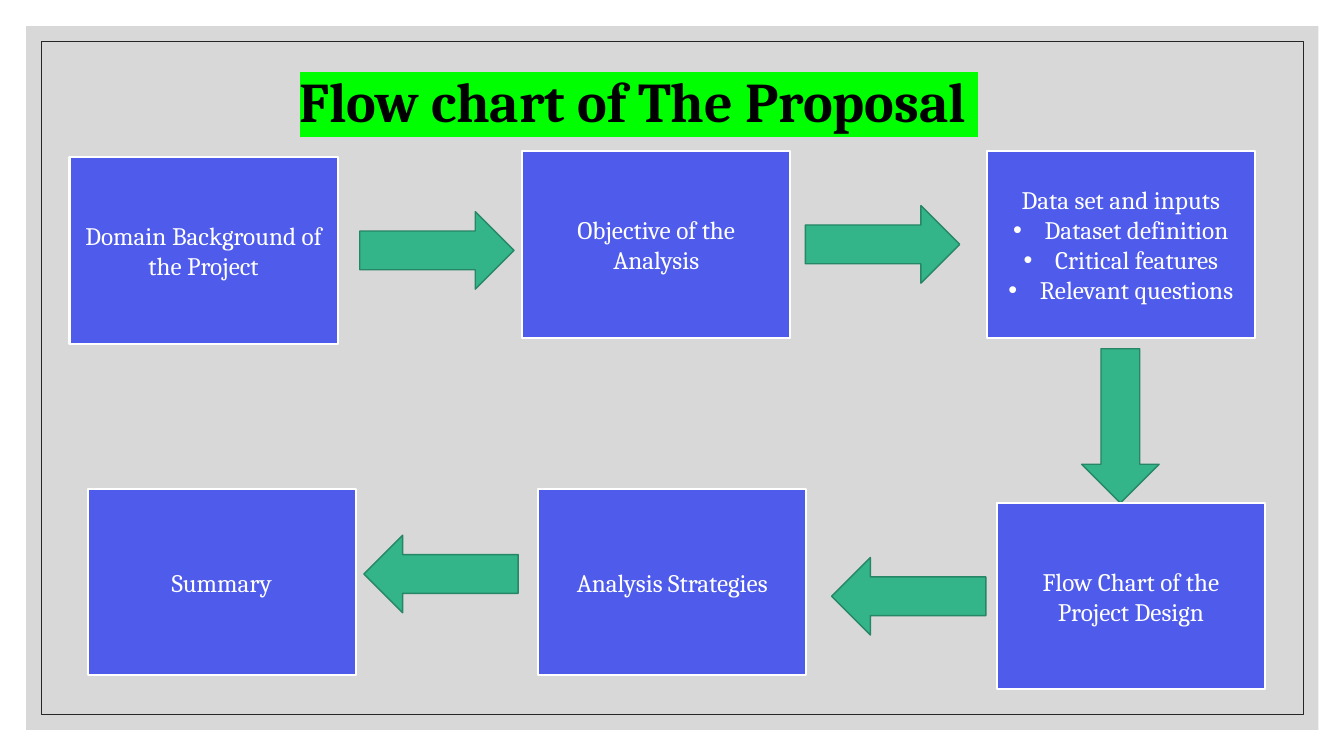
from lxml.etree import SubElement
from pptx import Presentation
from pptx.dml.color import RGBColor
from pptx.enum.shapes import MSO_SHAPE
from pptx.enum.text import MSO_ANCHOR, MSO_AUTO_SIZE, PP_ALIGN
from pptx.oxml import parse_xml
from pptx.oxml.ns import nsdecls, qn
from pptx.util import Pt

COLORS = {
    "panel": "BFBFBF",
    "frame": "262626",
    "title": "000000",
    "highlight": "00FF00",
    "box": "4E5BEB",
    "white": "FFFFFF",
    "arrow": "33B589",
    "arrow_line": "268665",
}
FONT = "Cambria"
BOX_SIZE = (191.5, 133.2)
ARROW_LENGTH, ARROW_WIDTH = 110.2, 55.4

STEPS = [
    (49.7, 112.3, ["Domain Background of the Project"]),
    (373, 108, ["Objective of the Analysis"]),
    (704.9, 108, ["Data set and inputs", "Dataset definition",
                  "Critical features", "Relevant questions"]),
    (712.1, 359.3, ["Flow Chart of the Project Design"]),
    (384.5, 349.2, ["Analysis Strategies"]),
    (62.6, 349.2, ["Summary"]),
]
ARROWS = [
    (MSO_SHAPE.RIGHT_ARROW, 257, 151.2),
    (MSO_SHAPE.RIGHT_ARROW, 575.3, 146.9),
    (MSO_SHAPE.DOWN_ARROW, 772.6, 249.1),
    (MSO_SHAPE.LEFT_ARROW, 594, 398.2),
    (MSO_SHAPE.LEFT_ARROW, 259.9, 382.3),
]


def color(name):
    return RGBColor.from_string(COLORS[name])


def add_shape(slide, kind, box, fill=None, line=None, line_width=1):
    shape = slide.shapes.add_shape(kind, *(Pt(length) for length in box))
    shape.shadow.inherit = False
    if fill:
        shape.fill.solid()
        shape.fill.fore_color.rgb = color(fill)
    else:
        shape.fill.background()
    if line:
        shape.line.color.rgb = color(line)
        shape.line.width = Pt(line_width)
    else:
        shape.line.fill.background()
    return shape


def format_runs(paragraph, size, font_color, bold=False):
    paragraph.alignment = PP_ALIGN.CENTER
    for run in paragraph.runs:
        run.font.size = Pt(size)
        run.font.bold = bold
        run.font.color.rgb = color(font_color)
        run.font.name = FONT


def add_bullet(paragraph):
    properties = paragraph._p.get_or_add_pPr()
    properties.set("marL", str(Pt(22.5)))
    properties.set("indent", str(-Pt(22.5)))
    SubElement(properties, qn("a:buFont"), typeface="Arial")
    SubElement(properties, qn("a:buChar"), char="•")


def add_backdrop(slide):
    panel = add_shape(slide, MSO_SHAPE.RECTANGLE, (18.7, 18.7, 923, 502.6), "panel")
    panel_color = panel.element.spPr.find(qn("a:solidFill")).find(qn("a:srgbClr"))
    SubElement(panel_color, qn("a:alpha"), val="60000")
    add_shape(slide, MSO_SHAPE.RECTANGLE, (29.5, 29.5, 901.4, 481), line="frame", line_width=0.5)


def add_title(slide, text):
    title = slide.shapes.title
    slide.shapes.element.append(title.element)
    title.left, title.top, title.width, title.height = Pt(88.6), Pt(43.9), Pt(735.8), Pt(55.4)
    frame = title.text_frame
    frame.text = text
    frame.word_wrap = True
    frame.auto_size = MSO_AUTO_SIZE.NONE
    frame.vertical_anchor = MSO_ANCHOR.TOP
    paragraph = frame.paragraphs[0]
    format_runs(paragraph, 40, "title", bold=True)
    highlight = parse_xml(
        f'<a:highlight {nsdecls("a")}><a:srgbClr val="{COLORS["highlight"]}"/></a:highlight>')
    paragraph.runs[0].font._element.find(qn("a:solidFill")).addnext(highlight)


def add_step(slide, left, top, lines):
    shape = add_shape(slide, MSO_SHAPE.RECTANGLE, (left, top, *BOX_SIZE), "box", "white", 1.5)
    frame = shape.text_frame
    frame.text = "\n".join(lines)
    frame.word_wrap = True
    frame.vertical_anchor = MSO_ANCHOR.MIDDLE
    for paragraph in frame.paragraphs[1:]:
        add_bullet(paragraph)
    for paragraph in frame.paragraphs:
        format_runs(paragraph, 18, "white")


def add_arrow(slide, kind, left, top):
    size = (ARROW_LENGTH, ARROW_WIDTH)
    if kind == MSO_SHAPE.DOWN_ARROW:
        size = (ARROW_WIDTH, ARROW_LENGTH)
    add_shape(slide, kind, (left, top, *size), "arrow", "arrow_line")


def main():
    """Build the proposal flow chart slide and save it."""
    presentation = Presentation()
    presentation.slide_width, presentation.slide_height = Pt(960), Pt(540)
    slide = presentation.slides.add_slide(presentation.slide_layouts[5])
    add_backdrop(slide)
    add_title(slide, "Flow chart of The Proposal ")
    for arrow in ARROWS:
        add_arrow(slide, *arrow)
    for step in STEPS:
        add_step(slide, *step)
    presentation.save("out.pptx")


if __name__ == "__main__":
    main()
